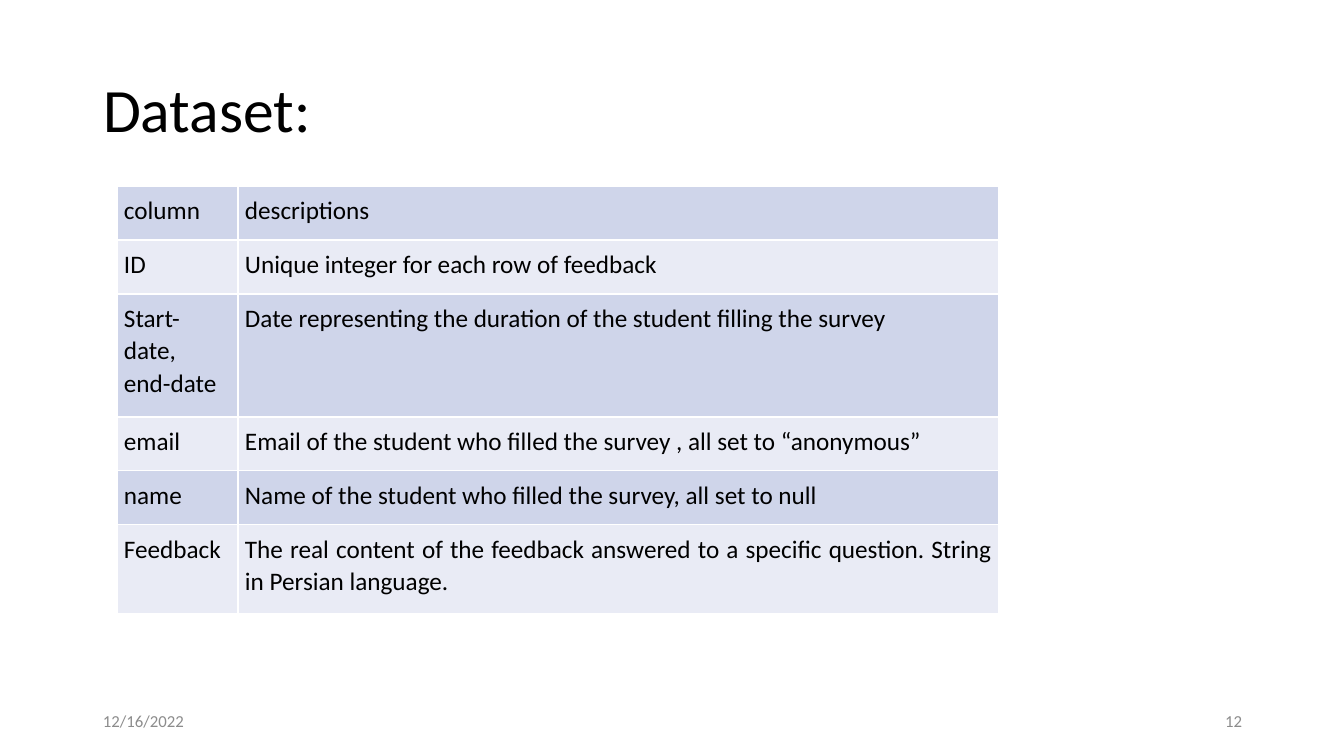
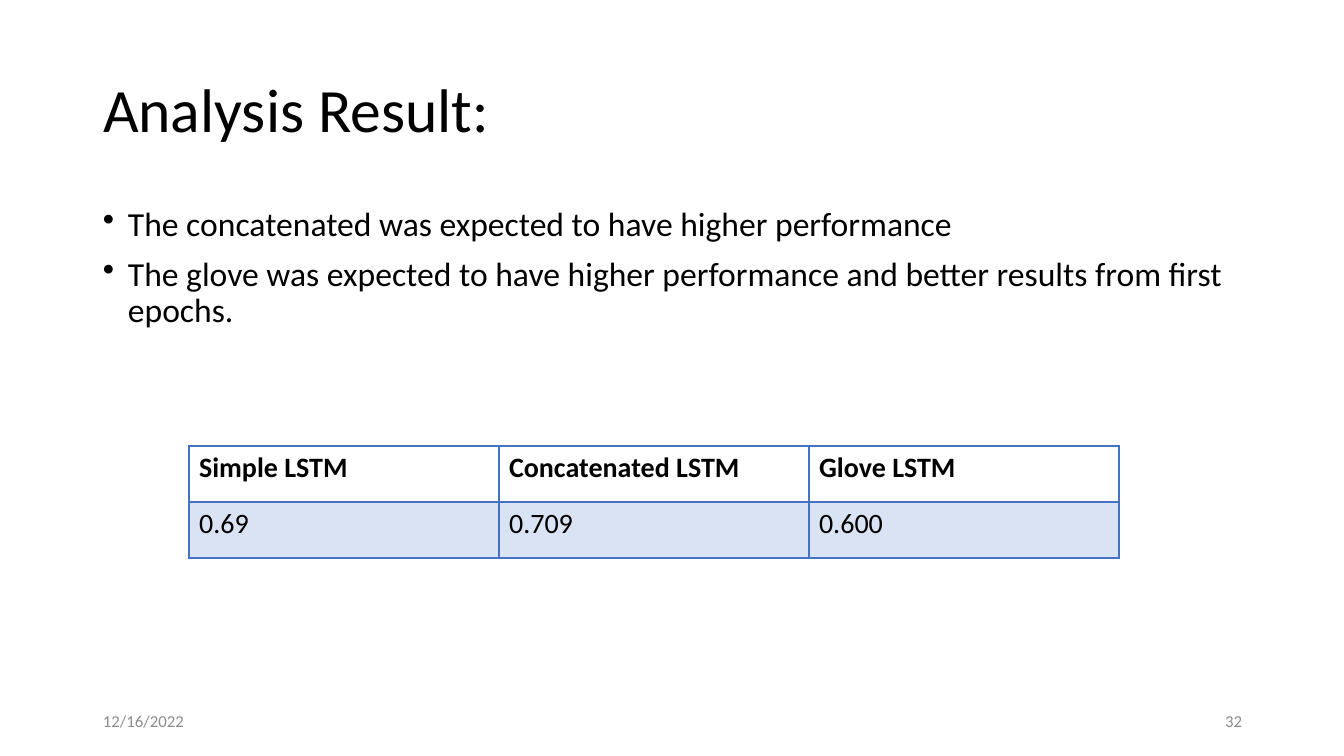
from lxml import etree
from pptx import Presentation
from pptx.dml.color import RGBColor
from pptx.enum.text import MSO_ANCHOR as ANCHOR, PP_ALIGN as ALIGN
from pptx.oxml.ns import qn
from pptx.util import Pt

PX = 12192000 / 1344
FONT = "Calibri"
COLORS = {
    "text": "000000",
    "footer": "8C8C8C",
    "band_dark": "CFD5EA",
    "band_light": "E9EBF5",
    "grid": "FFFFFF",
    "accent": "4472C4",
    "accent_pale": "DAE3F3",
}


def px(*lengths):
    return [round(length * PX) for length in lengths]


def write(frame, text, size, color="text", bold=False, align=ALIGN.LEFT,
          anchor=ANCHOR.TOP, line=1.0, before=0, inset=None, bullet=False):
    """Fill a text frame or table cell, one paragraph per line of text."""
    body = getattr(frame, "text_frame", frame)
    body.word_wrap = True
    body.text = text
    frame.vertical_anchor = anchor
    if inset is not None:
        for side in ("left", "top", "right", "bottom"):
            setattr(frame, f"margin_{side}", px(inset)[0])
    for paragraph in body.paragraphs:
        paragraph.alignment = align
        paragraph.line_spacing = line
        paragraph.space_before = Pt(before)
        font = paragraph.font
        for target in (font, *(run.font for run in paragraph.runs)):
            target.name, target.size, target.bold = FONT, Pt(size), bold
            target.color.rgb = RGBColor.from_string(COLORS[color])
        if bullet:
            props = paragraph._p.get_or_add_pPr()
            indent = px(25)[0]
            props.set("marL", str(indent))
            props.set("indent", str(-indent))
            mark = etree.Element(qn("a:buChar"), char="•")
            props.insert_element_before(mark, "a:tabLst", "a:defRPr", "a:extLst")


prs = Presentation()
prs.slide_width, prs.slide_height = px(1344, 756)

dataset_rows = [
    ("column", "descriptions"),
    ("ID", "Unique integer for each row of feedback"),
    ("Start-date, \nend-date", "Date representing the duration of the student filling the survey"),
    ("email", "Email of the student who filled the survey , all set to “anonymous”"),
    ("name", "Name of the student who filled the survey, all set to null"),
    ("Feedback", "The real content of the feedback answered to a specific question. "
                 "String in Persian language."),
]
result_rows = [
    ("Simple LSTM", "Concatenated LSTM", "Glove LSTM"),
    ("0.69", "0.709", "0.600"),
]
expectations = (
    "The concatenated was expected to have higher performance\n"
    "The glove was expected to have higher performance and better results from first epochs."
)

dataset_format = dict(size=18, align=ALIGN.JUSTIFY, line=1.07, inset=7)
pages = [
    dict(title="Dataset:", number="12", bullets=None, rows=dataset_rows,
         corner=(117, 186), widths=[121, 761], heights=[54, 54, 123, 54, 54, 89],
         fills=["band_dark", "band_light"] * 3, border="grid",
         formats=[dataset_format] * 6),
    dict(title="Analysis Result:", number="32", bullets=expectations, rows=result_rows,
         corner=(189, 446), widths=[310] * 3, heights=[56] * 2,
         fills=[None, "accent_pale"], border="accent",
         formats=[dict(size=20, bold=True), dict(size=20)]),
]

for page in pages:
    slide = prs.slides.add_slide(prs.slide_layouts[5])
    title = slide.shapes.title
    title.left, title.top, title.width, title.height = px(93, 40, 1159, 146)
    write(title.text_frame, page["title"], 44, anchor=ANCHOR.MIDDLE, line=0.9)

    if page["bullets"]:
        body = slide.shapes.add_textbox(*px(93, 202, 1159, 480))
        write(body.text_frame, page["bullets"], 24, line=0.9, before=10, bullet=True)

    rows, widths, heights = page["rows"], page["widths"], page["heights"]
    table = slide.shapes.add_table(
        len(rows), len(widths), *px(*page["corner"], sum(widths), sum(heights))).table
    table.first_row = table.horz_banding = False
    for column, width in zip(table.columns, px(*widths)):
        column.width = width
    for row, height in zip(table.rows, px(*heights)):
        row.height = height
    for r, texts in enumerate(rows):
        for c, text in enumerate(texts):
            cell = table.cell(r, c)
            write(cell, text, **page["formats"][r])
            fill = page["fills"][r]
            if fill:
                cell.fill.solid()
                cell.fill.fore_color.rgb = RGBColor.from_string(COLORS[fill])
            else:
                cell.fill.background()
            heading_rule = page["border"] == "accent" and r == 0
            for position, side in enumerate("LRTB"):
                points = 2 if heading_rule and side == "B" else 1
                edge = etree.Element(qn(f"a:ln{side}"), w=str(Pt(points)))
                solid = etree.SubElement(edge, qn("a:solidFill"))
                etree.SubElement(solid, qn("a:srgbClr"), val=COLORS[page["border"]])
                cell._tc.get_or_add_tcPr().insert(position, edge)

    for left, text, align in ((93, "12/16/2022", ALIGN.LEFT),
                              (950, page["number"], ALIGN.RIGHT)):
        footer = slide.shapes.add_textbox(*px(left, 701, 302, 40))
        write(footer.text_frame, text, 12, color="footer", align=align, anchor=ANCHOR.MIDDLE)

prs.save("out.pptx")
